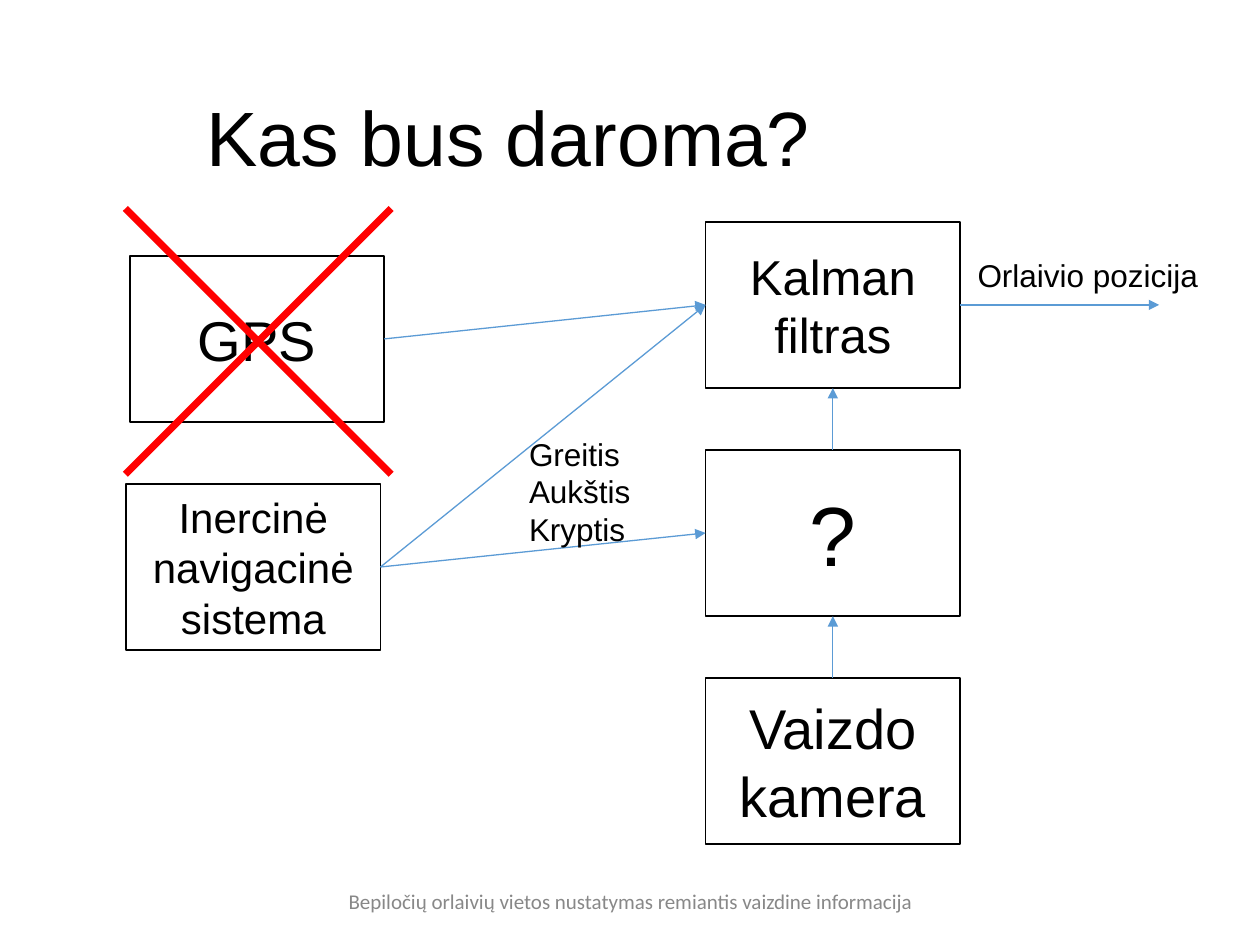
from dataclasses import dataclass

from lxml import etree
from pptx import Presentation
from pptx.dml.color import RGBColor
from pptx.enum.shapes import MSO_CONNECTOR, MSO_SHAPE
from pptx.enum.text import MSO_ANCHOR, MSO_AUTO_SIZE, PP_ALIGN
from pptx.oxml.ns import qn
from pptx.util import Inches, Pt

RECTANGLE, CROSS = MSO_SHAPE.RECTANGLE, MSO_SHAPE.MATH_MULTIPLY
STRAIGHT = MSO_CONNECTOR.STRAIGHT
LEFT, CENTER = PP_ALIGN.LEFT, PP_ALIGN.CENTER
TOP_ANCHOR, MIDDLE = MSO_ANCHOR.TOP, MSO_ANCHOR.MIDDLE
NO_AUTOFIT = MSO_AUTO_SIZE.NONE
TOP, LEFT_SIDE, BOTTOM, RIGHT_SIDE = range(4)
TITLE_ONLY = 5


@dataclass(frozen=True)
class Theme:
    font: str = "Arial"
    footer_font: str = "Calibri"
    ink: RGBColor = RGBColor(0, 0, 0)
    paper: RGBColor = RGBColor(255, 255, 255)
    arrow: RGBColor = RGBColor(0x5B, 0x9B, 0xD5)
    cross: RGBColor = RGBColor(255, 0, 0)
    muted: RGBColor = RGBColor(0x88, 0x88, 0x88)
    title_size: int = 44
    label_size: int = 18
    footer_size: int = 12


THEME = Theme()

# Diagram grid in inches: sources on the left, processing on the right
BOX_W, BOX_H = 2.02, 1.32
ROW_PITCH = 1.81
SOURCE_X, SOURCE_Y = 1.0, 2.03
PROCESS_X, PROCESS_Y = 5.6, 1.76


def place(shape, left, top, width, height):
    shape.left, shape.top = Inches(left), Inches(top)
    shape.width, shape.height = Inches(width), Inches(height)


def write(frame, lines, size, align=LEFT, anchor=TOP_ANCHOR, wrap=True,
          font=THEME.font, color=THEME.ink):
    """Fill a text frame with one paragraph per line."""
    frame.word_wrap = wrap
    frame.auto_size = NO_AUTOFIT
    frame.vertical_anchor = anchor
    for index, line in enumerate(lines):
        paragraph = frame.add_paragraph() if index else frame.paragraphs[0]
        paragraph.alignment = align
        run = paragraph.add_run()
        run.text = line
        run.font.size, run.font.name = Pt(size), font
        run.font.color.rgb = color


def add_text(shapes, area, lines, size, **style):
    box = shapes.add_textbox(*map(Inches, area))
    write(box.text_frame, lines, size, **style)


def add_box(shapes, left, first_top, row, text, size):
    top = first_top + row * ROW_PITCH
    box = shapes.add_shape(RECTANGLE, *map(Inches, (left, top, BOX_W, BOX_H)))
    box.shadow.inherit = False
    box.fill.solid()
    box.fill.fore_color.rgb = THEME.paper
    box.line.color.rgb = THEME.ink
    box.line.width = Pt(1)
    write(box.text_frame, [text], size, align=CENTER, anchor=MIDDLE)
    return box


def add_arrow(shapes, source, side, target=None, target_side=None, end=(0, 0)):
    """Draw an arrow from a box to another box, or to a free end point."""
    arrow = shapes.add_connector(STRAIGHT, 0, 0, *map(Inches, end))
    arrow.begin_connect(source, side)
    if target is not None:
        arrow.end_connect(target, target_side)
    arrow.line.color.rgb = THEME.arrow
    arrow.line.width = Pt(0.75)
    line = arrow.line._get_or_add_ln()
    etree.SubElement(line, qn("a:tailEnd"), type="triangle")
    etree.SubElement(arrow._element.spPr, qn("a:effectLst"))


def add_cross(shapes, area):
    cross = shapes.add_shape(CROSS, *map(Inches, area))
    cross.adjustments[0] = 0.014
    cross.shadow.inherit = False
    cross.fill.solid()
    cross.fill.fore_color.rgb = THEME.cross
    cross.line.fill.background()


def main():
    deck = Presentation()
    deck.slide_width, deck.slide_height = Inches(10), Inches(7.5)
    slide = deck.slides.add_slide(deck.slide_layouts[TITLE_ONLY])
    shapes = slide.shapes

    # Title and footer
    title = shapes.title
    place(title, 1.54, 0.4, 7.77, 1.45)
    write(title.text_frame, ["Kas bus daroma?"], THEME.title_size, anchor=MIDDLE)
    title.text_frame.paragraphs[0].line_spacing = 0.9
    add_text(shapes, (2.6, 6.95, 4.81, 0.4),
             ["Bepiločių orlaivių vietos nustatymas remiantis vaizdine informacija"],
             THEME.footer_size, align=CENTER, anchor=MIDDLE,
             font=THEME.footer_font, color=THEME.muted)

    # Data sources and processing steps
    inertial = add_box(shapes, SOURCE_X, SOURCE_Y, 1, "Inercinė navigacinė sistema", 24)
    gps = add_box(shapes, SOURCE_X + 0.03, SOURCE_Y, 0, "GPS", 32)
    kalman, unknown, camera = [
        add_box(shapes, PROCESS_X, PROCESS_Y, row, text, size)
        for row, (text, size) in enumerate(
            [("Kalman filtras", 28), ("?", 48), ("Vaizdo kamera", 32)])
    ]

    # Data flow
    for source, side, target, target_side in [
        (inertial, RIGHT_SIDE, kalman, LEFT_SIDE),
        (gps, RIGHT_SIDE, kalman, LEFT_SIDE),
        (inertial, RIGHT_SIDE, unknown, LEFT_SIDE),
        (unknown, TOP, kalman, BOTTOM),
        (camera, TOP, unknown, BOTTOM),
    ]:
        add_arrow(shapes, source, side, target, target_side)

    # Result: arrow and its label belong together
    result = shapes.add_group_shape().shapes
    add_arrow(result, kalman, RIGHT_SIDE, end=(9.2, PROCESS_Y + BOX_H / 2))
    add_text(result, (7.66, 1.98, 1.98, 0.4), ["Orlaivio pozicija"],
             THEME.label_size, wrap=False)

    # GPS is crossed out
    add_cross(shapes, (0.02, 0.68, 4.06, 4.06))

    # Quantities from the inertial system
    add_text(shapes, (4.1, 3.4, 1.02, 1.01), ["Greitis", "Aukštis", "Kryptis"],
             THEME.label_size, wrap=False)

    deck.save("out.pptx")


if __name__ == "__main__":
    main()
